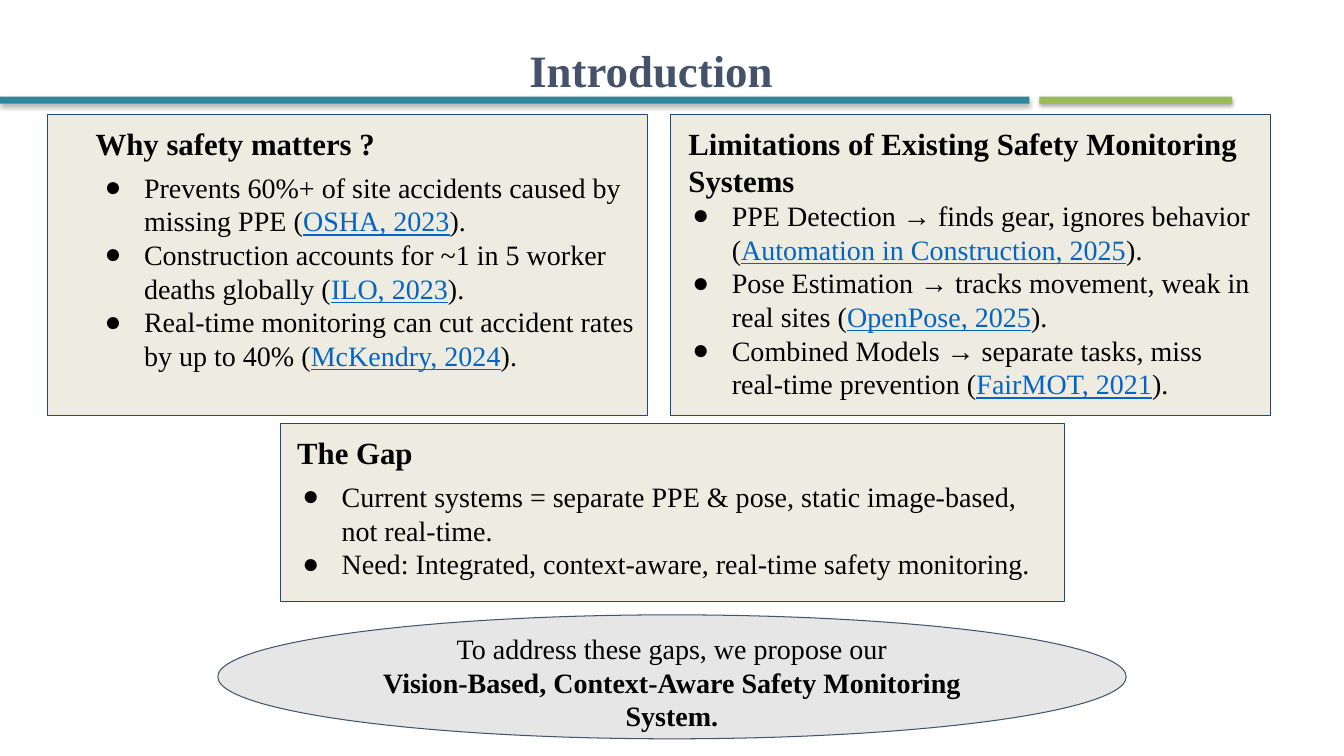
"""Build the Introduction slide on construction safety monitoring."""
from dataclasses import dataclass

from lxml.etree import SubElement
from pptx import Presentation
from pptx.dml.color import RGBColor
from pptx.enum.shapes import MSO_SHAPE
from pptx.enum.text import MSO_ANCHOR, PP_ALIGN
from pptx.oxml.ns import qn
from pptx.util import Inches, Pt


@dataclass(frozen=True)
class Theme:
    font: str = "Times New Roman"
    title_size: int = 32
    heading_size: int = 22
    body_size: int = 20
    title: str = "44526A"
    text: str = "000000"
    citation: str = "0563C1"
    teal: str = "31859B"
    green: str = "9BBB59"
    panel: str = "EEECE1"
    panel_line: str = "1F497D"
    oval: str = "E7E6E6"
    oval_line: str = "44546A"


theme = Theme()


def add_box(preset, position, fill, line=None):
    shape = slide.shapes.add_shape(preset, *map(Inches, position))
    shape.fill.solid()
    shape.fill.fore_color.rgb = RGBColor.from_string(fill)
    if line:
        shape.line.color.rgb = RGBColor.from_string(line)
        shape.line.width = Pt(0.75)
    else:
        shape.line.fill.background()
    shape.shadow.inherit = False
    return shape


def add_run(paragraph, text, size, color=theme.text, bold=False, underline=False):
    run = paragraph.add_run()
    run.text = text
    run.font.name = theme.font
    run.font.size = Pt(size)
    run.font.bold = bold
    run.font.underline = underline
    run.font.color.rgb = RGBColor.from_string(color)


presentation = Presentation()
presentation.slide_width = Inches(13.33)
presentation.slide_height = Inches(7.5)
slide = presentation.slides.add_slide(presentation.slide_layouts[6])

for left, width, color in [(10.31, 1.91, theme.green), (0, 10.21, theme.teal)]:
    bar = add_box(MSO_SHAPE.RECTANGLE, (left, 0.96, width, 0.07), color)
    effects = bar.element.spPr.find(qn("a:effectLst"))
    shadow = SubElement(effects, qn("a:outerShdw"), blurRad=str(Pt(3.1)),
                        dist=str(Pt(1.8)), dir="5400000", rotWithShape="0")
    shadow_color = SubElement(shadow, qn("a:srgbClr"), val=theme.text)
    SubElement(shadow_color, qn("a:alpha"), val="35000")

title = slide.shapes.add_textbox(Inches(5.25), Inches(0.41), Inches(2.44), Inches(0.55))
title_frame = title.text_frame
title_frame.margin_left = title_frame.margin_right = title_frame.margin_bottom = 0
title_frame.margin_top = Inches(0.01)
add_run(title_frame.paragraphs[0], "Introduction", theme.title_size, theme.title, bold=True)

panels = [
    ((0.47, 1.14, 5.95, 2.98), "Why safety matters ?", (0.85, 1.14, 3.79, 0.55),
     (0.83, 1.59, 5.59, 1.95), [
        ("Prevents 60%+ of site accidents caused by missing PPE (", "OSHA, 2023"),
        ("Construction accounts for ~1 in 5 worker deaths globally (", "ILO, 2023"),
        ("Real-time monitoring can cut accident rates by up to 40% (", "McKendry, 2024"),
    ]),
    ((6.65, 1.14, 5.95, 2.98), "Limitations of Existing Safety Monitoring Systems",
     (6.73, 1.14, 5.78, 0.55), (6.66, 1.87, 5.86, 2.45), [
        ("PPE Detection → finds gear, ignores behavior (", "Automation in Construction, 2025"),
        ("Pose Estimation → tracks movement, weak in real sites (", "OpenPose, 2025"),
        ("Combined Models → separate tasks, miss real-time prevention (", "FairMOT, 2021"),
    ]),
    ((2.78, 4.2, 7.78, 1.77), "The Gap", (2.85, 4.2, 1.63, 0.56),
     (2.79, 4.66, 7.56, 1.1), [
        ("Current systems = separate PPE & pose, static image-based, not real-time.", None),
        ("Need: Integrated, context-aware, real-time safety monitoring.", None),
    ]),
]

for panel_position, heading, heading_position, body_position, points in panels:
    add_box(MSO_SHAPE.RECTANGLE, panel_position, theme.panel, theme.panel_line)
    frames = []
    for position in (heading_position, body_position):
        frame = slide.shapes.add_textbox(*map(Inches, position)).text_frame
        frame.word_wrap = True
        frame.margin_left = frame.margin_right = Inches(0.1)
        frame.margin_top = frame.margin_bottom = Inches(0.1)
        frames.append(frame)
    heading_frame, body_frame = frames
    add_run(heading_frame.paragraphs[0], heading, theme.heading_size, bold=True)
    for index, (statement, citation) in enumerate(points):
        paragraph = body_frame.add_paragraph() if index else body_frame.paragraphs[0]
        properties = paragraph._p.get_or_add_pPr()
        properties.set("marL", str(Inches(0.5)))
        properties.set("indent", str(Inches(-0.39)))
        bullet_color = SubElement(properties, qn("a:buClr"))
        SubElement(bullet_color, qn("a:srgbClr"), val=theme.text)
        SubElement(properties, qn("a:buFont"), typeface=theme.font)
        SubElement(properties, qn("a:buChar"), char="●")
        add_run(paragraph, statement, theme.body_size)
        if citation:
            add_run(paragraph, citation, theme.body_size, theme.citation, underline=True)
            add_run(paragraph, ").", theme.body_size)

proposal = add_box(MSO_SHAPE.OVAL, (2.16, 6.1, 9.01, 1.23), theme.oval, theme.oval_line)
proposal_frame = proposal.text_frame
proposal_frame.word_wrap = True
proposal_frame.vertical_anchor = MSO_ANCHOR.MIDDLE
proposal_frame.margin_left = proposal_frame.margin_right = Inches(0.1)
proposal_frame.margin_top = Inches(0.2)
proposal_frame.margin_bottom = Inches(0.1)
opening = proposal_frame.paragraphs[0]
closing = proposal_frame.add_paragraph()
add_run(opening, "To address these gaps, we propose our", theme.body_size)
add_run(closing, "Vision-Based, Context-Aware Safety Monitoring System.", theme.body_size, bold=True)
for paragraph in (opening, closing):
    paragraph.alignment = PP_ALIGN.CENTER

presentation.save("out.pptx")
